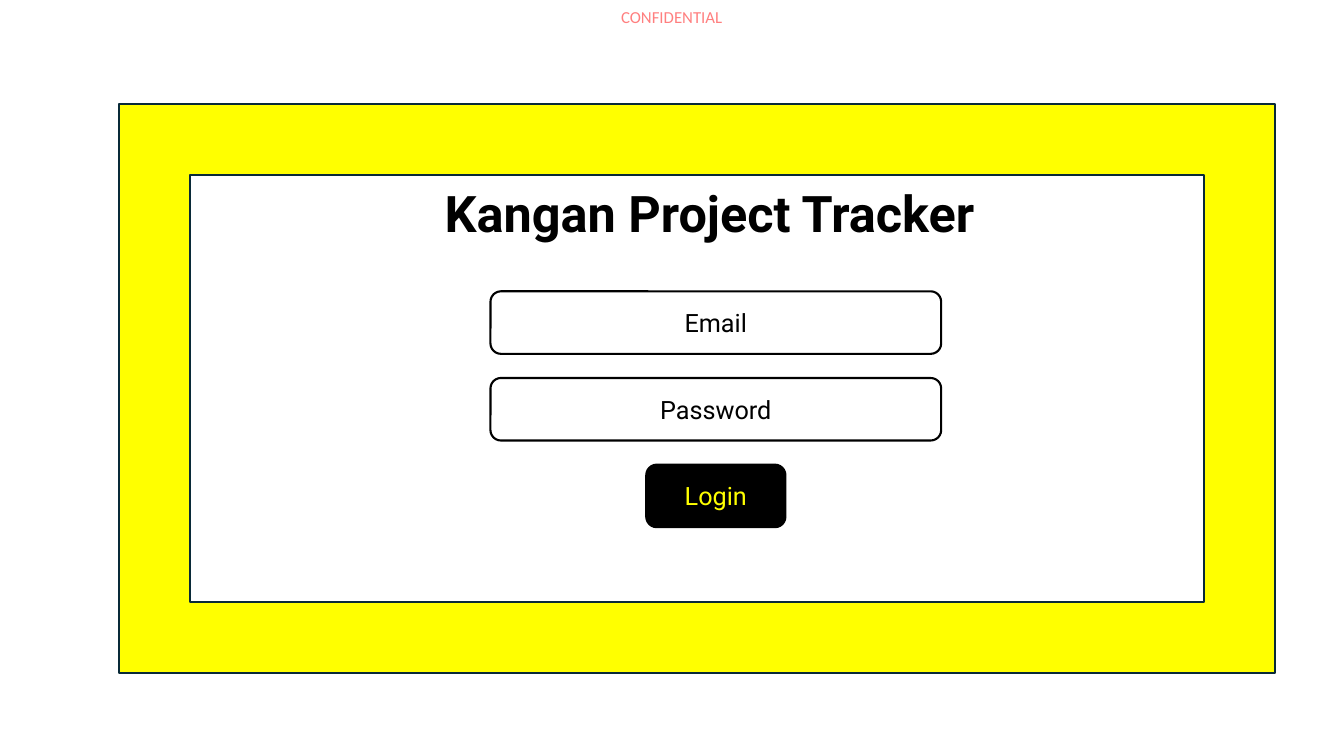
from lxml import etree
from pptx import Presentation
from pptx.dml.color import RGBColor
from pptx.enum.shapes import MSO_SHAPE as SHAPE
from pptx.enum.text import MSO_ANCHOR as ANCHOR, MSO_AUTO_SIZE as AUTO_SIZE, PP_ALIGN as ALIGN
from pptx.oxml.ns import qn
from pptx.util import Inches, Pt

BLACK = RGBColor(0x00, 0x00, 0x00)
WHITE = RGBColor(0xFF, 0xFF, 0xFF)
YELLOW = RGBColor(0xFF, 0xFF, 0x00)
NAVY = RGBColor(0x09, 0x2A, 0x38)
RED = RGBColor(0xFF, 0x00, 0x00)

LABEL = "CONFIDENTIAL"
TITLE = "Kangan Project Tracker "
# text, width, fill, text colour
CONTROLS = [
    ("Email", 4.47, WHITE, BLACK),
    ("Password", 4.47, WHITE, BLACK),
    ("Login", 1.38, BLACK, YELLOW),
]
CONTROL_CENTER, CONTROL_TOP = 7.1, 2.89
CONTROL_HEIGHT, CONTROL_STEP = 0.62, 0.86


def add_run(p, text, size, color, font="Roboto", bold=False):
    r = p.add_run()
    r.text = text
    r.font.name = font
    r.font.size = Pt(size)
    r.font.bold = bold
    r.font.color.rgb = color
    return r


def add_box(slide, kind, left, top, width, height, fill, line):
    sp = slide.shapes.add_shape(kind, Inches(left), Inches(top), Inches(width), Inches(height))
    sp.shadow.inherit = False
    sp.fill.solid()
    sp.fill.fore_color.rgb = fill
    sp.line.color.rgb = line
    sp.line.width = Pt(1.5)
    return sp


def add_label(slide):
    sp = slide.shapes.add_textbox(Inches(6.16), Inches(0.07), Inches(1.04), Inches(0.4))
    tf = sp.text_frame
    tf.margin_left = tf.margin_top = tf.margin_right = tf.margin_bottom = 0
    r = add_run(tf.paragraphs[0], LABEL, 12, RED, "Calibri")
    color = r.font._element.find(f".//{qn('a:srgbClr')}")
    etree.SubElement(color, qn("a:alpha"), val="50000")


def format_title(slide):
    sp = slide.shapes.title
    sp.left, sp.top, sp.width, sp.height = Inches(3.08), Inches(1.76), Inches(8.04), Inches(0.7)
    tf = sp.text_frame
    tf.word_wrap = True
    tf.auto_size = AUTO_SIZE.NONE
    tf.vertical_anchor = ANCHOR.TOP
    p = tf.paragraphs[0]
    p.alignment = ALIGN.CENTER
    add_run(p, TITLE, 36, BLACK, bold=True)


def add_controls(slide):
    for i, (text, width, fill, color) in enumerate(CONTROLS):
        sp = add_box(slide, SHAPE.ROUNDED_RECTANGLE, CONTROL_CENTER - width / 2,
                     CONTROL_TOP + i * CONTROL_STEP, width, CONTROL_HEIGHT, fill, BLACK)
        tf = sp.text_frame
        tf.vertical_anchor = ANCHOR.MIDDLE
        p = tf.paragraphs[0]
        p.alignment = ALIGN.CENTER
        add_run(p, text, 18, color)


def main():
    prs = Presentation()
    prs.slide_width, prs.slide_height = Inches(13.33), Inches(7.5)
    slide = prs.slides.add_slide(prs.slide_layouts[5])
    add_label(slide)
    add_box(slide, SHAPE.FRAME, 1.18, 1.03, 11.47, 5.65, YELLOW, NAVY)
    format_title(slide)
    add_controls(slide)
    prs.save("out.pptx")


if __name__ == "__main__":
    main()
